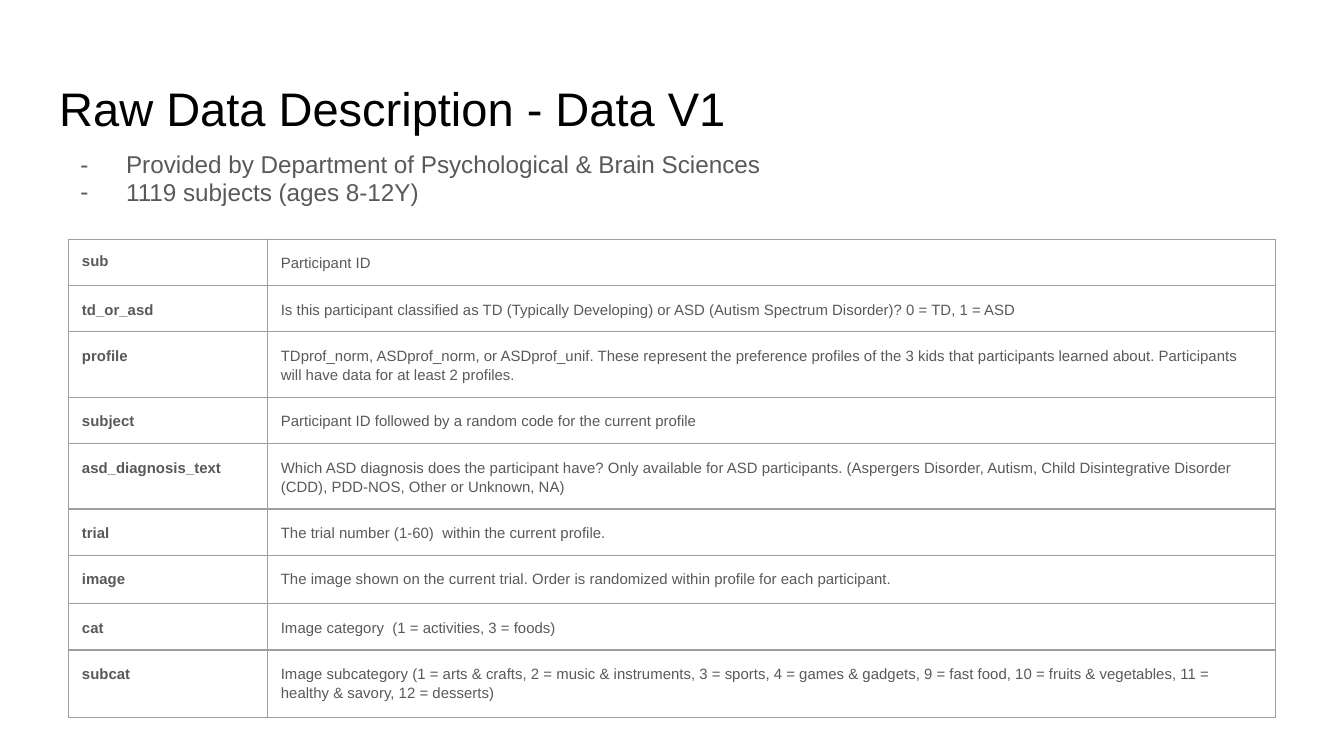
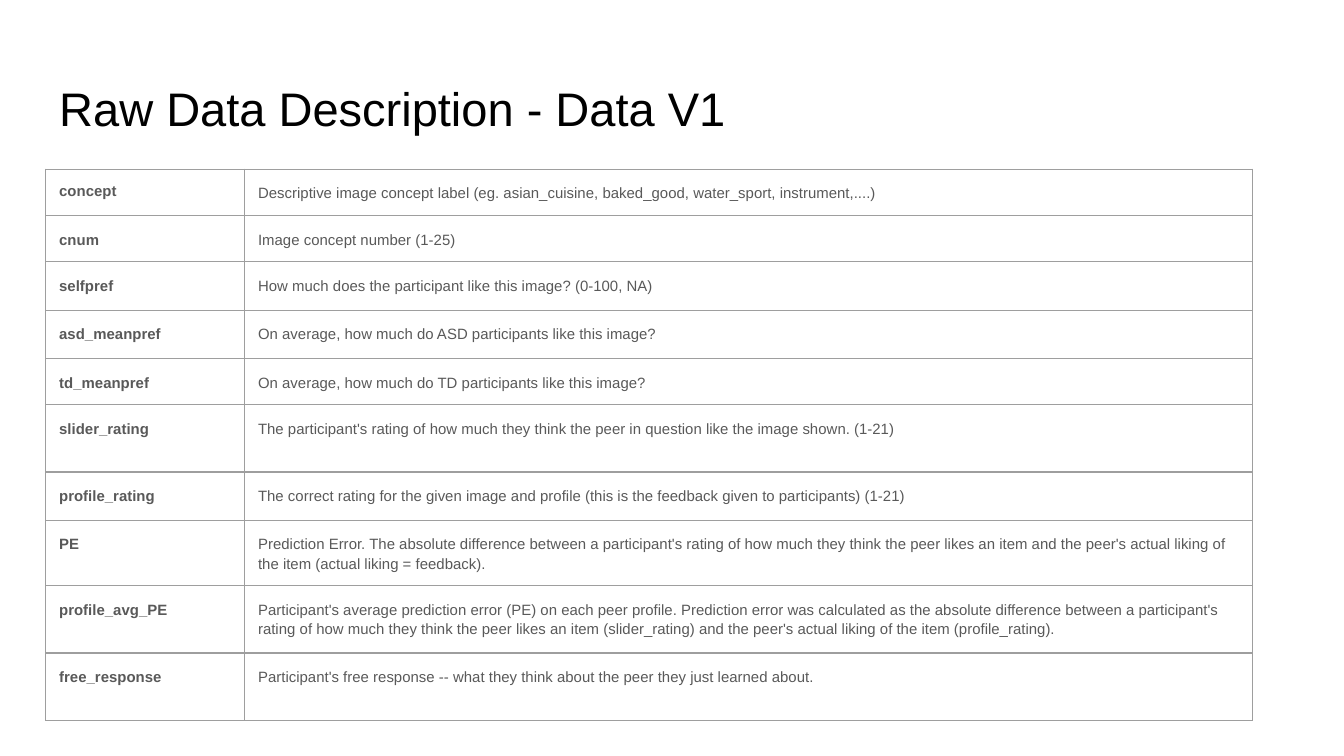
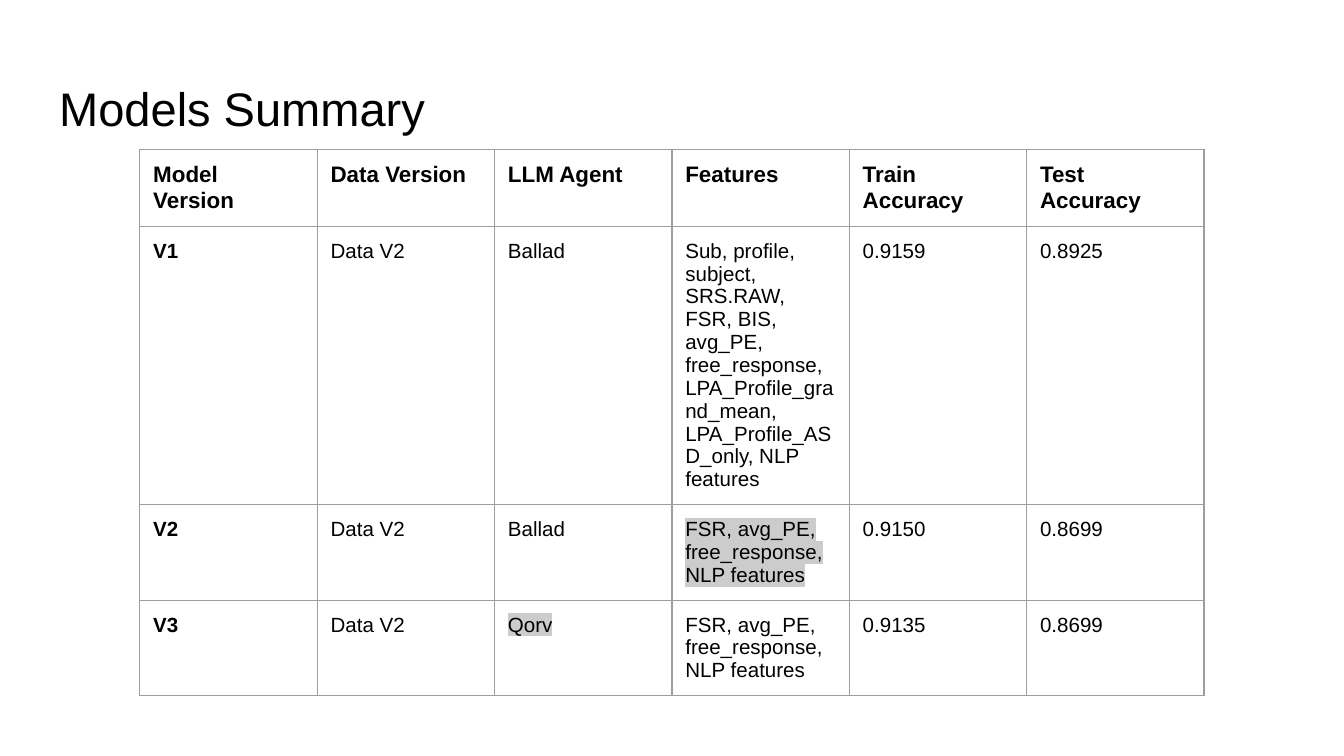
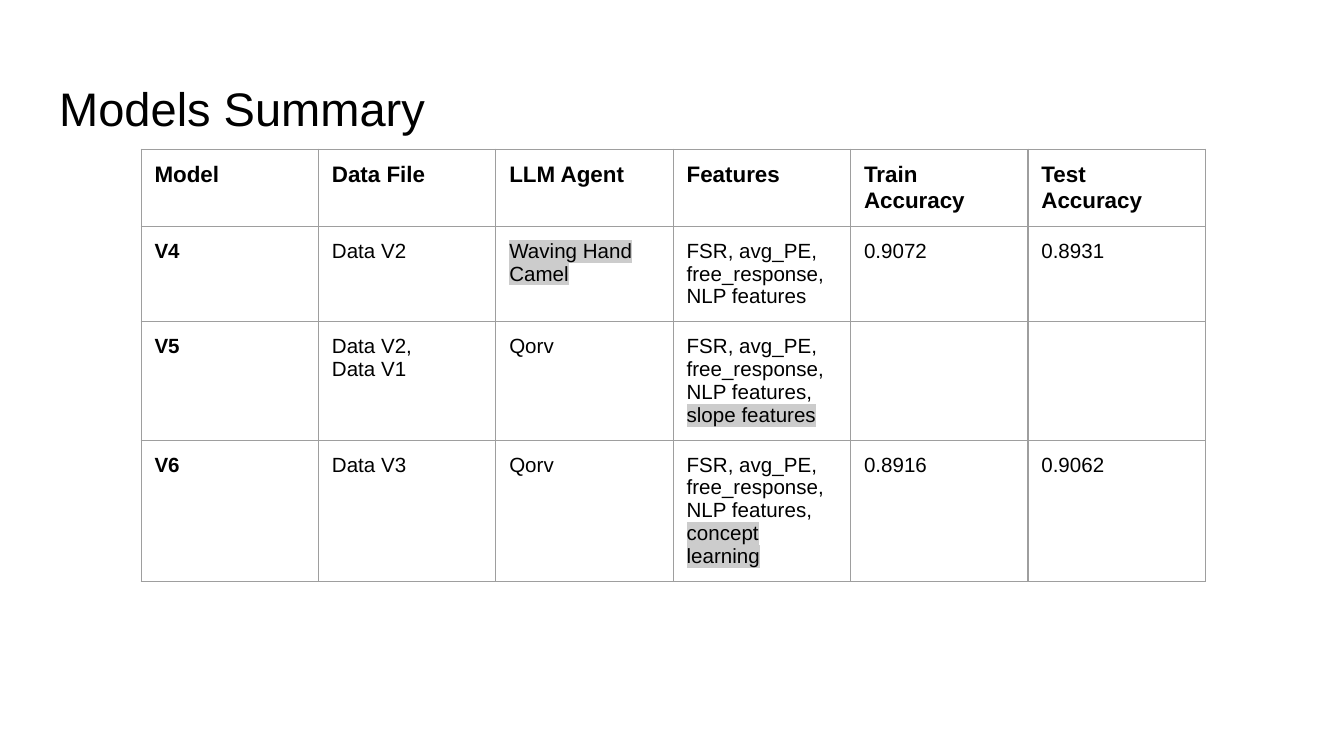
from dataclasses import dataclass

from lxml import etree
from pptx import Presentation
from pptx import util as u
from pptx.dml import color
from pptx.enum import text
from pptx.oxml import ns


@dataclass(frozen=True)
class Theme:
    font: str = "Arial"
    ink: str = "000000"
    gray: str = "595959"
    rule: str = "9E9E9E"
    mark: str = "CCCCCC"
    title: float = 25.2
    lead: float = 13
    head: float = 12
    body: float = 11
    note: float = 8
    line: float = 0.75
    pad: float = 0.1


@dataclass(frozen=True)
class Box:
    left: float
    top: float
    width: float
    height: float

    def place(self):
        return [u.Inches(n) for n in (self.left, self.top, self.width, self.height)]


THEME = Theme()
TITLE = Box(0.34, 0.49, 9.32, 0.63)
LEAD = Box(0.34, 1.03, 9.32, 0.63)
LABEL = 1.48
SHORT = "FSR, avg_PE, free_response, NLP features"

LEADS = [
    "Provided by Department of Psychological & Brain Sciences",
    "1119 subjects (ages 8-12Y)",
]

FIELDS = [
    (0.27, "sub", "Participant ID"),
    (0.27, "td_or_asd", "Is this participant classified as TD (Typically Developing) or ASD (Autism Spectrum Disorder)? 0 = TD, 1 = ASD"),
    (0.27, "profile", "TDprof_norm, ASDprof_norm, or ASDprof_unif. These represent the preference profiles of the 3 kids that participants learned about. Participants will have data for at least 2 profiles."),
    (0.27, "subject", "Participant ID followed by a random code for the current profile"),
    (0.36, "asd_diagnosis_text", "Which ASD diagnosis does the participant have? Only available for ASD participants. (Aspergers Disorder, Autism, Child Disintegrative Disorder (CDD), PDD-NOS, Other or Unknown, NA)"),
    (0.27, "trial", "The trial number (1-60)  within the current profile."),
    (0.36, "image", "The image shown on the current trial. Order is randomized within profile for each participant."),
    (0.27, "cat", "Image category  (1 = activities, 3 = foods)"),
    (0.5, "subcat", "Image subcategory (1 = arts & crafts, 2 = music & instruments, 3 = sports, 4 = games & gadgets, 9 = fast food, 10 = fruits & vegetables, 11 = healthy & savory, 12 = desserts)"),
]

RATINGS = [
    (0.27, "concept", "Descriptive image concept label (eg. asian_cuisine, baked_good, water_sport, instrument,....)"),
    (0.27, "cnum", "Image concept number (1-25)"),
    (0.36, "selfpref", "How much does the participant like this image? (0-100, NA)"),
    (0.36, "asd_meanpref", "On average, how much do ASD participants like this image?"),
    (0.27, "td_meanpref", "On average, how much do TD participants like this image?"),
    (0.5, "slider_rating", "The participant's rating of how much they think the peer in question like the image shown. (1-21)"),
    (0.36, "profile_rating", "The correct rating for the given image and profile (this is the feedback given to participants) (1-21)"),
    (0.27, "PE", "Prediction Error. The absolute difference between a participant's rating of how much they think the peer likes an item and the peer's actual liking of the item (actual liking = feedback)."),
    (0.5, "profile_avg_PE", "Participant's average prediction error (PE) on each peer profile. Prediction error was calculated as the absolute difference between a participant's rating of how much they think the peer likes an item (slider_rating) and the peer's actual liking of the item (profile_rating)."),
    (0.5, "free_response", "Participant's free response -- what they think about the peer they just learned about."),
]

EARLY = [
    ("Model Version", "Data Version", "LLM Agent", "Features", "Train Accuracy", "Test Accuracy"),
    ("V1", "Data V2", "Ballad", "Sub, profile, subject, SRS.RAW, FSR, BIS, avg_PE, free_response, LPA_Profile_grand_mean, LPA_Profile_ASD_only, NLP features", "0.9159", "0.8925"),
    ("V2", "Data V2", "Ballad", "*" + SHORT, "0.9150", "0.8699"),
    ("V3", "Data V2", "*Qorv", SHORT, "0.9135", "0.8699"),
]

LATE = [
    ("Model", "Data File", "LLM Agent", "Features", "Train Accuracy", "Test Accuracy"),
    ("V4", "Data V2", "*Waving Hand Camel", SHORT, "0.9072", "0.8931"),
    ("V5", "Data V2,\nData V1", "Qorv", SHORT + ", *slope features", "", ""),
    ("V6", "Data V3", "Qorv", SHORT + ", *concept learning", "0.8916", "0.9062"),
]


def style(run, size, tint, bold=False):
    run.font.size = u.Pt(size)
    run.font.name = THEME.font
    run.font.bold = bold
    run.font.color.rgb = color.RGBColor.from_string(tint)


def shade(run):
    fill = run.font._element.find(ns.qn("a:solidFill"))
    mark = etree.Element(ns.qn("a:highlight"))
    etree.SubElement(mark, ns.qn("a:srgbClr"), val=THEME.mark)
    fill.addnext(mark)


def inset(frame):
    frame.margin_left = frame.margin_right = u.Inches(THEME.pad)
    frame.margin_top = frame.margin_bottom = u.Inches(THEME.pad)


def border(cell):
    props = cell._tc.get_or_add_tcPr()
    for n, side in enumerate(("lnL", "lnR", "lnT", "lnB")):
        line = etree.Element(ns.qn("a:" + side), w=str(u.Pt(THEME.line)))
        fill = etree.SubElement(line, ns.qn("a:solidFill"))
        etree.SubElement(fill, ns.qn("a:srgbClr"), val=THEME.rule)
        props.insert(n, line)


def write(cell, words, size, tint, bold, loose=False):
    plain, _, marked = words.partition("*")
    cell.text_frame.text = plain
    for para in cell.text_frame.paragraphs:
        if loose:
            para.line_spacing = 1.15
            para.space_after = u.Pt(12)
        for run in para.runs:
            style(run, size, tint, bold)
    if marked:
        run = cell.text_frame.paragraphs[-1].add_run()
        run.text = marked
        style(run, size, tint, bold)
        shade(run)


def grid(slide, box, cols, rows):
    table = slide.shapes.add_table(len(rows), len(cols), *box.place()).table
    table.first_row = table.horz_banding = False
    for col, width in zip(table.columns, cols):
        col.width = u.Inches(width)
    for row, height in zip(table.rows, rows):
        row.height = u.Inches(height)
    for cell in table.iter_cells():
        cell.fill.background()
        inset(cell)
        border(cell)
    return table


def glossary(slide, box, terms):
    cols = [LABEL, box.width - LABEL]
    table = grid(slide, box, cols, [term[0] for term in terms])
    for r, (_, name, note) in enumerate(terms):
        write(table.cell(r, 0), name, THEME.note, THEME.gray, True, r > 0)
        write(table.cell(r, 1), note, THEME.note, THEME.gray, False, True)


def summary(slide, box, data):
    count = len(data[0])
    high = box.height / len(data)
    table = grid(slide, box, [box.width / count] * count, [high] * len(data))
    for r, row in enumerate(data):
        size = THEME.body if r else THEME.head
        for c, words in enumerate(row):
            write(table.cell(r, c), words, size, THEME.ink, r == 0 or c == 0)


def bullets(slide, box, lines):
    frame = slide.shapes.add_textbox(*box.place()).text_frame
    frame.word_wrap = True
    inset(frame)
    frame.text = "\n".join(lines)
    for para in frame.paragraphs:
        para.line_spacing = 0.95
        props = para._p.get_or_add_pPr()
        props.set("marL", str(u.Inches(0.5)))
        props.set("indent", str(u.Inches(-0.34)))
        tint = etree.SubElement(props, ns.qn("a:buClr"))
        etree.SubElement(tint, ns.qn("a:srgbClr"), val=THEME.gray)
        etree.SubElement(props, ns.qn("a:buSzPts"), val=str(THEME.lead * 100))
        etree.SubElement(props, ns.qn("a:buFont"), typeface=THEME.font)
        etree.SubElement(props, ns.qn("a:buChar"), char="-")
        style(para.runs[0], THEME.lead, THEME.gray)


def page(deck, words, box=TITLE):
    slide = deck.slides.add_slide(deck.slide_layouts[5])
    title = slide.shapes.title
    title.left, title.top, title.width, title.height = box.place()
    frame = title.text_frame
    frame.text = words
    frame.word_wrap = True
    frame.auto_size = text.MSO_AUTO_SIZE.NONE
    frame.vertical_anchor = text.MSO_ANCHOR.MIDDLE
    inset(frame)
    frame.paragraphs[0].alignment = text.PP_ALIGN.LEFT
    style(frame.paragraphs[0].runs[0], THEME.title, THEME.ink)
    return slide


def main():
    deck = Presentation()
    deck.slide_width = u.Inches(10)
    deck.slide_height = u.Inches(10 * 9 / 16)

    slide = page(deck, "Raw Data Description - Data V1")
    glossary(slide, Box(0.51, 1.78, 8.98, 2.84), FIELDS)
    bullets(slide, LEAD, LEADS)

    slide = page(deck, "Raw Data Description - Data V1")
    glossary(slide, Box(0.34, 1.26, 8.98, 3.66), RATINGS)

    for left, data in ((1.04, EARLY), (1.05, LATE)):
        slide = page(deck, "Models Summary")
        summary(slide, Box(left, 1.11, 7.92, 1.68), data)

    deck.save("out.pptx")


if __name__ == "__main__":
    main()
